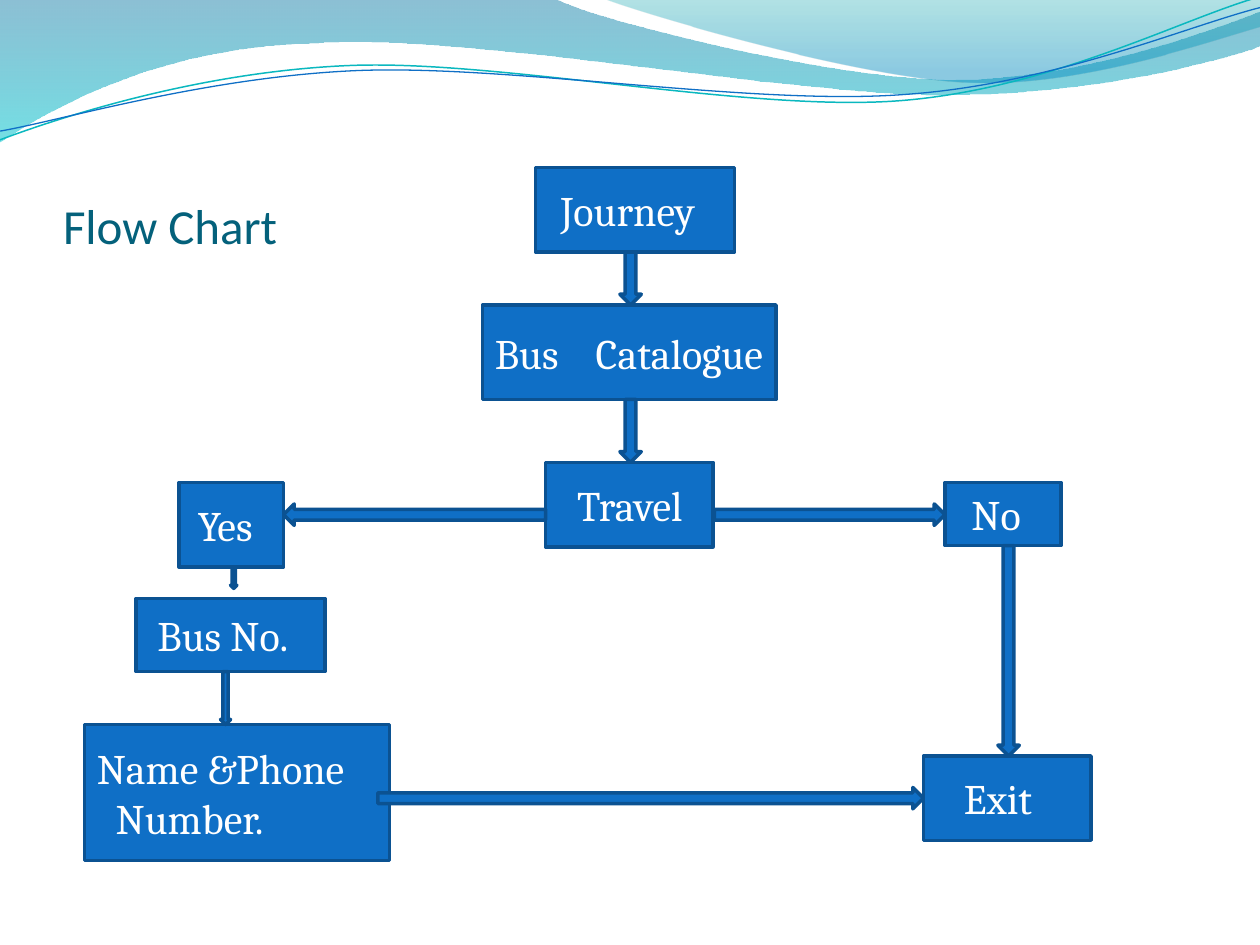
"""Build the bus booking flow chart slide."""
from dataclasses import dataclass
from math import cos, radians, sin
from typing import NamedTuple, Optional

from lxml.etree import SubElement
from pptx import Presentation
from pptx.dml.color import RGBColor
from pptx.enum.shapes import MSO_SHAPE
from pptx.enum.text import MSO_ANCHOR, PP_ALIGN
from pptx.oxml.ns import qn
from pptx.util import Inches, Pt


@dataclass(frozen=True)
class Theme:
    """Colours, fonts and sizes of the slide."""
    fill: str = "0F6FC6"
    edge: str = "0B5292"
    teal: str = "0AB8BF"
    title: str = "04617B"
    text: str = "FFFFFF"
    title_font: str = "Calibri"
    box_font: str = "Cambria"
    title_size: int = 28
    box_size: int = 24
    edge_width: int = 2


class Stop(NamedTuple):
    """One gradient stop, with opacity in percent."""
    pos: float
    color: str
    alpha: int


class Wave(NamedTuple):
    """An outline of segments: one point is a line, three are a Bezier curve."""
    start: tuple
    segments: list
    stops: tuple = ()
    line: Optional[str] = None
    width: float = 0.75
    center: tuple = (0, 0)
    rotation: float = 0


class Box(NamedTuple):
    """A labelled step and its left text inset."""
    text: str
    x: float
    y: float
    w: float
    h: float
    inset: float = 0.1


class Arrow(NamedTuple):
    """A block arrow."""
    kind: MSO_SHAPE
    x: float
    y: float
    w: float
    h: float


T = Theme()
DOWN, LEFT, RIGHT = MSO_SHAPE.DOWN_ARROW, MSO_SHAPE.LEFT_ARROW, MSO_SHAPE.RIGHT_ARROW

WAVES = [
    Wave((0, 0),
         [[(4.4, -0.01)],
          [(4.76, 0.17), (6.64, 0.63), (7.58, 0.63)],
          [(8.53, 0.63), (9.58, 0.26), (10, 0.09)],
          [(10.01, 0.36)],
          [(9.83, 0.44), (8.7, 0.76), (7.46, 0.75)],
          [(6.22, 0.75), (3.82, 0.28), (2.57, 0.34)],
          [(1.29, 0.36), (0.46, 0.83), (-0.01, 1.13)],
          [(0, 0)]],
         stops=(Stop(0, "0074A1", 45), Stop(1, "00C6CF", 55))),
    Wave((4.79, -0.01),
         [[(5.09, 0.11), (6.82, 0.62), (7.69, 0.65)],
          [(8.56, 0.69), (9.61, 0.32), (10, 0.21)],
          [(10, 0)],
          [(4.79, -0.01)]],
         stops=(Stop(0, "00A1A9", 30), Stop(0.8, "008BBF", 45))),
    Wave((0, 1.11),
         [[(0.48, 0.93), (1.58, 0.57), (2.77, 0.52)],
          [(3.95, 0.47), (5.93, 0.89), (7.13, 0.8)],
          [(8.33, 0.71), (9.38, 0.15), (9.98, -0.02)]],
         line=T.teal, width=0.85, center=(4.99, 0.575), rotation=-2.7),
    Wave((0, 1.04),
         [[(0.47, 0.96), (1.64, 0.61), (2.83, 0.56)],
          [(4.03, 0.51), (5.97, 0.84), (7.17, 0.75)],
          [(8.36, 0.67), (9.41, 0.21), (10, 0.06)]],
         line=T.fill, center=(4.99, 0.59), rotation=-2.7),
]

BOXES = [
    Box("Journey", 4.25, 1.33, 1.58, 0.67, 0.2),
    Box("Bus\tCatalogue", 3.83, 2.42, 2.33, 0.75),
    Box("Travel", 4.33, 3.67, 1.33, 0.67, 0.25),
    Box("No", 7.5, 3.83, 0.92, 0.5, 0.21),
    Box("Yes", 1.42, 3.83, 0.83, 0.67, 0.15),
    Box("Bus No.", 1.08, 4.75, 1.5, 0.58, 0.17),
    Box("Name &Phone Number.", 0.67, 5.75, 2.42, 1.08),
    Box("Exit", 7.33, 6, 1.33, 0.67, 0.32),
]

ARROWS = [
    Arrow(DOWN, 4.92, 2, 0.17, 0.42),
    Arrow(DOWN, 4.92, 3.17, 0.17, 0.5),
    Arrow(RIGHT, 5.67, 4, 1.83, 0.17),
    Arrow(LEFT, 2.25, 4, 2.08, 0.17),
    Arrow(DOWN, 1.83, 4.5, 0.05, 0.17),
    Arrow(DOWN, 1.75, 5.33, 0.08, 0.42),
    Arrow(DOWN, 7.92, 4.33, 0.17, 1.67),
    Arrow(RIGHT, 3, 6.25, 4.33, 0.17),
]


def rgb(value: str) -> RGBColor:
    return RGBColor.from_string(value)


def unrotate(wave: Wave, point: tuple) -> tuple:
    a = radians(-wave.rotation)
    (cx, cy), (x, y) = wave.center, point
    dx, dy = x - cx, y - cy
    return (Inches(cx + dx * cos(a) - dy * sin(a)),
            Inches(cy + dx * sin(a) + dy * cos(a)))


def curve_segments(sp, segments: list) -> None:
    lines = iter(list(sp._element.iter(qn("a:lnTo"))))
    for segment in segments:
        group = [next(lines) for _ in segment]
        if len(group) == 3:
            curve = group[0].makeelement(qn("a:cubicBezTo"))
            group[0].addprevious(curve)
            for line in group:
                curve.append(line[0])
                line.getparent().remove(line)


def draw_wave(s, wave: Wave) -> None:
    fb = s.shapes.build_freeform(*unrotate(wave, wave.start))
    points = [unrotate(wave, p) for segment in wave.segments for p in segment]
    fb.add_line_segments(points, close=bool(wave.stops))
    sp = fb.convert_to_shape()
    curve_segments(sp, wave.segments)
    sp.rotation = wave.rotation
    sp.shadow.inherit = False
    if wave.line:
        sp.fill.background()
        sp.line.color.rgb = rgb(wave.line)
        sp.line.width = Pt(wave.width)
        return
    sp.line.fill.background()
    sp.fill.gradient()
    sp.fill.gradient_angle = 270
    for gs, stop in zip(sp.fill.gradient_stops, wave.stops):
        gs.position = stop.pos
        gs.color.rgb = rgb(stop.color)
    colors = sp._element.spPr.iter(qn("a:srgbClr"))
    for clr, stop in zip(colors, wave.stops):
        SubElement(clr, qn("a:alpha")).set("val", str(stop.alpha * 1000))


def draw_block(s, kind: MSO_SHAPE, x: float, y: float, w: float, h: float):
    sp = s.shapes.add_shape(kind, *map(Inches, (x, y, w, h)))
    sp.shadow.inherit = False
    sp.fill.solid()
    sp.fill.fore_color.rgb = rgb(T.fill)
    sp.line.color.rgb = rgb(T.edge)
    sp.line.width = Pt(T.edge_width)
    return sp


def set_text(tf, text: str, font: str, size: int, color: str):
    tf.text = text
    tf.word_wrap = True
    p = tf.paragraphs[0]
    p.alignment = PP_ALIGN.LEFT
    for r in p.runs:
        r.font.name, r.font.size = font, Pt(size)
        r.font.color.rgb = rgb(color)
    return p


def draw_box(s, box: Box) -> None:
    tf = draw_block(s, MSO_SHAPE.RECTANGLE, box.x, box.y, box.w, box.h).text_frame
    p = set_text(tf, box.text, T.box_font, T.box_size, T.text)
    tf.vertical_anchor = MSO_ANCHOR.MIDDLE
    tf.margin_left, tf.margin_right = Inches(box.inset), 0
    pPr = p._p.get_or_add_pPr()
    if "\t" in box.text:
        tabs = SubElement(pPr, qn("a:tabLst"))
        SubElement(tabs, qn("a:tab"), pos=str(Inches(0.8)), algn="l")
    else:
        pPr.set("marL", str(Inches(0.15)))
        pPr.set("indent", str(-Inches(0.15)))


def draw_title(s, text: str) -> None:
    sp = s.shapes.title
    sp.left, sp.top, sp.width, sp.height = map(Inches, (0.5, 0.77, 9, 1.25))
    tf = sp.text_frame
    set_text(tf, text, T.title_font, T.title_size, T.title)
    tf.vertical_anchor = MSO_ANCHOR.BOTTOM
    tf.margin_left = tf.margin_right = tf.margin_bottom = 0


def main() -> None:
    prs = Presentation()
    prs.slide_width, prs.slide_height = Inches(10), Inches(7.5)
    s = prs.slides.add_slide(prs.slide_layouts[5])
    draw_title(s, "Flow Chart")
    for wave in WAVES:
        draw_wave(s, wave)
    for box in BOXES:
        draw_box(s, box)
    for arrow in ARROWS:
        draw_block(s, *arrow)
    prs.save("out.pptx")


if __name__ == "__main__":
    main()
